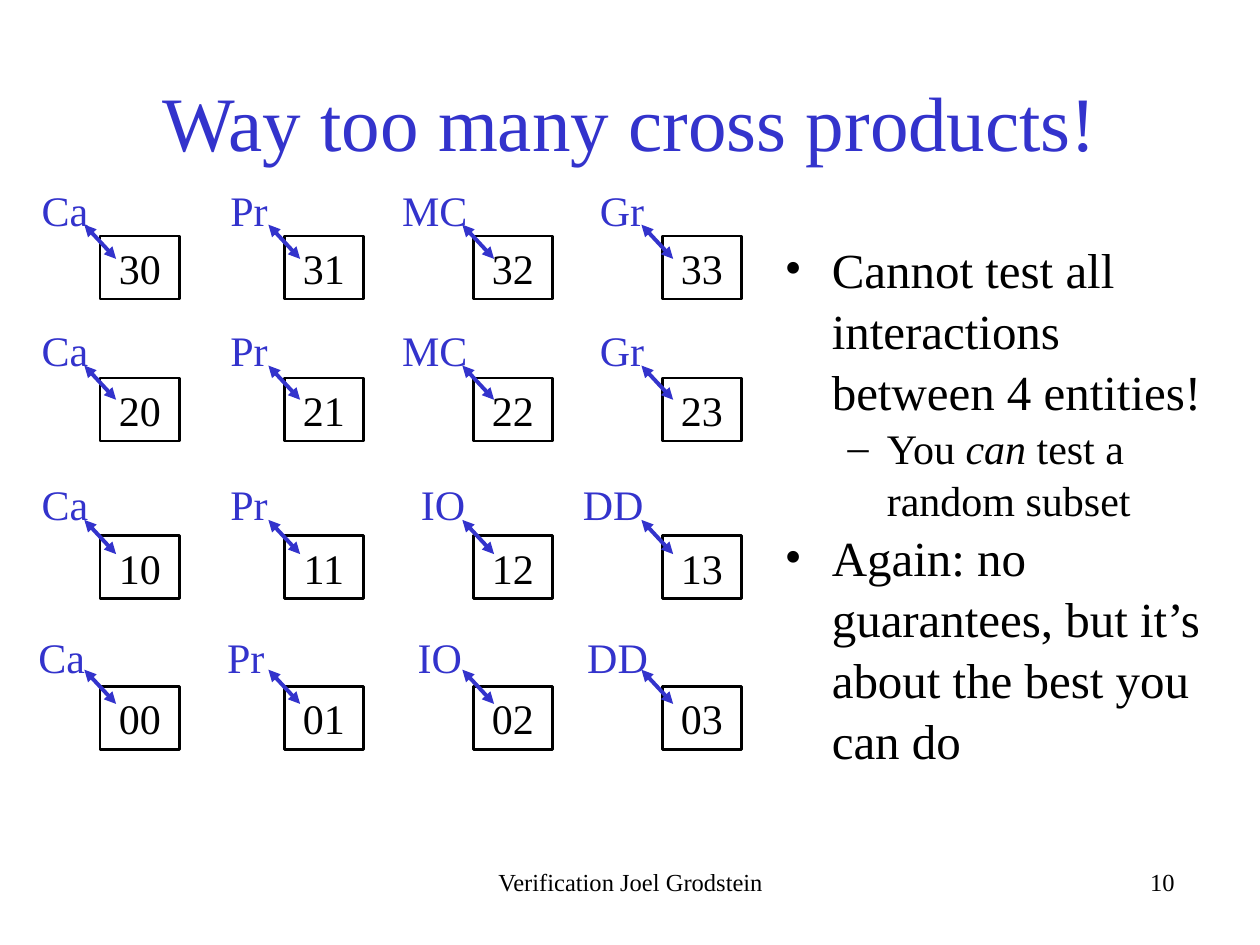
from pptx import Presentation
from pptx import util as u
from pptx.dml.color import RGBColor
from pptx.enum import shapes, text
from pptx.oxml.ns import qn
from lxml import etree

Cm, Pt = u.Cm, u.Pt
FONT = "Times New Roman"
BLACK, BLUE, WHITE = "000000", "3333CC", "FFFFFF"
LEFT, CENTER, RIGHT = text.PP_ALIGN.LEFT, text.PP_ALIGN.CENTER, text.PP_ALIGN.RIGHT


def rgb(value):
    return RGBColor.from_string(value)


def style_runs(p, size, color, align):
    p.alignment = align
    for r in p.runs:
        r.font.name, r.font.size = FONT, Pt(size)
        r.font.color.rgb = rgb(color)


def set_text(sp, words, size, color, align, anchor, wrap=True):
    tf = sp.text_frame
    tf.text = words
    tf.word_wrap, tf.vertical_anchor = wrap, anchor
    style_runs(tf.paragraphs[0], size, color, align)


def add_text(s, box, words, size, color=BLACK, align=CENTER,
             anchor=text.MSO_ANCHOR.TOP, wrap=True):
    sp = s.shapes.add_textbox(*map(Cm, box))
    set_text(sp, words, size, color, align, anchor, wrap)


def add_core(s, box, words):
    sp = s.shapes.add_shape(shapes.MSO_SHAPE.RECTANGLE, *map(Cm, box))
    sp.shadow.inherit = False
    sp.fill.solid()
    sp.fill.fore_color.rgb = rgb(WHITE)
    sp.line.color.rgb = rgb(BLACK)
    sp.line.width = Pt(1.5)
    set_text(sp, words, 24, BLACK, CENTER, text.MSO_ANCHOR.MIDDLE)


def add_double_arrow(s, x, y, w, h):
    c = s.shapes.add_connector(shapes.MSO_CONNECTOR.STRAIGHT,
                               Cm(x), Cm(y), Cm(x + w), Cm(y + h))
    c.line.color.rgb = rgb(BLUE)
    c.line.width = Pt(2.25)
    ln = c.line._get_or_add_ln()
    for end in ("a:headEnd", "a:tailEnd"):
        etree.SubElement(ln, qn(end), type="triangle")
    etree.SubElement(c._element.spPr, qn("a:effectLst"))


def add_mesh(s, left, top):
    # Column offsets: core box, arrow
    columns = [(1.62, 1.3), (5.33, 5.01), (9.14, 8.92), (12.95, 12.53)]
    # Row offsets: label, arrow, core box; label widths and names
    rows = [
        (0, 0.94, 1.17, (1.6, 1.6, 1.93, 1.6), ("Ca", "Pr", "MC", "Gr")),
        (2.82, 3.78, 4.03, (1.6, 1.6, 1.93, 1.6), ("Ca", "Pr", "MC", "Gr")),
        (5.94, 6.89, 7.21, (1.6, 1.6, 1.6, 1.96), ("Ca", "Pr", "IO", "DD")),
        (9.01, 9.91, 10.25, (1.73, 1.73, 1.73, 1.78), ("Ca", "Pr", "IO", "DD")),
    ]
    for i, (label_y, arrow_y, core_y, widths, names) in enumerate(rows):
        for j, (core_x, arrow_x) in enumerate(columns):
            add_core(s, (left + core_x, top + core_y, 1.6, 1.27), f"{3 - i}{j}")
            label_x = arrow_x + 0.41 - widths[j]
            add_text(s, (left + label_x, top + label_y, widths[j], 1.27),
                     names[j], 24, BLUE, wrap=False)
            add_double_arrow(s, left + arrow_x, top + arrow_y, 0.64, 0.69)


def add_bullets(s, box):
    # Levels: bullet, text indent, hanging indent, size
    levels = [("•", 0.95, 0.95, 28), ("–", 2.06, 0.79, 24)]
    items = [
        (0, ["Cannot test all interactions between 4 entities!"]),
        (1, ["You ", "can", " test a random subset"]),
        (0, ["Again: no guarantees, but it’s about the best you can do"]),
    ]
    tf = s.shapes.add_textbox(*map(Cm, box)).text_frame
    tf.word_wrap = True
    for i, (level, parts) in enumerate(items):
        bullet, indent, hang, size = levels[level]
        p = tf.add_paragraph() if i else tf.paragraphs[0]
        p.level, p.line_spacing = level, 1.04
        for part in parts:
            r = p.add_run()
            r.text = part
            if part == "can":
                r.font.italic = True
        style_runs(p, size, BLACK, LEFT)
        pPr = p._p.get_or_add_pPr()
        pPr.set("marL", str(Cm(indent)))
        pPr.set("indent", str(-Cm(hang)))
        etree.SubElement(pPr, qn("a:buFont"), typeface=FONT)
        etree.SubElement(pPr, qn("a:buChar"), char=bullet)


def add_footer(s, top):
    add_text(s, (8.69, top, 8.05, 1.27), "Verification Joel Grodstein", 14)
    add_text(s, (15.88, top, 8.05, 1.27), "10", 14, align=RIGHT)


prs = Presentation()
prs.slide_width, prs.slide_height = Cm(25.4), Cm(19.05)
s = prs.slides.add_slide(prs.slide_layouts[6])

add_text(s, (1.9, 0.84, 21.6, 3.18), "Way too many cross products!", 44, BLUE,
         anchor=text.MSO_ANCHOR.MIDDLE)
add_mesh(s, 0.4, 3.59)
add_bullets(s, (15.57, 4.65, 9.2, 11.63))
add_footer(s, 17.35)

prs.save("out.pptx")
